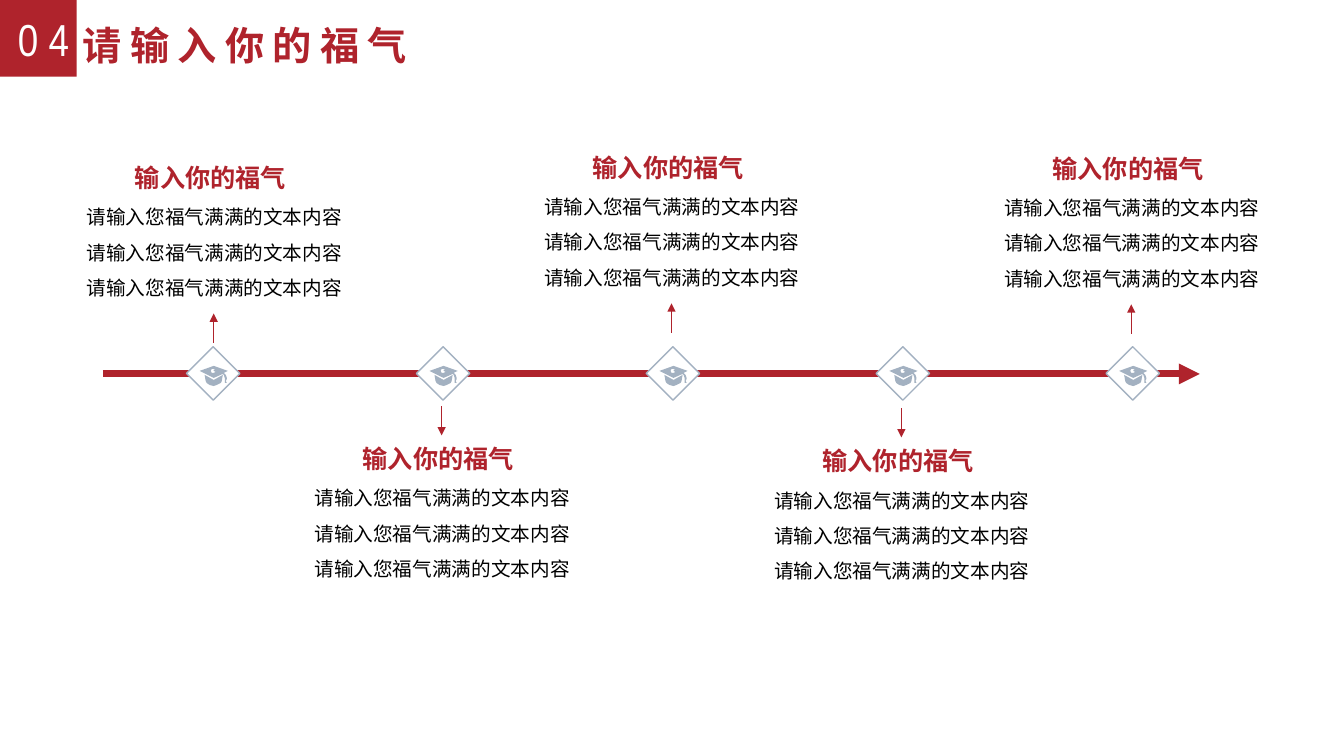
from lxml import etree
from pptx import Presentation
from pptx.dml.color import RGBColor
from pptx.enum.shapes import MSO_CONNECTOR, MSO_SHAPE
from pptx.enum.text import MSO_ANCHOR, MSO_AUTO_SIZE, PP_ALIGN
from pptx.oxml.ns import qn
from pptx.util import Emu, Pt

PX = 9144  # 100 px to the inch
STRAIGHT = MSO_CONNECTOR.STRAIGHT
DIAMOND, RECTANGLE = MSO_SHAPE.DIAMOND, MSO_SHAPE.RECTANGLE
BOTTOM, TOP = MSO_ANCHOR.BOTTOM, MSO_ANCHOR.TOP
GROW, FIXED = MSO_AUTO_SIZE.SHAPE_TO_FIT_TEXT, MSO_AUTO_SIZE.NONE
JUSTIFY = PP_ALIGN.JUSTIFY

COLORS = {"red": "AF232C", "steel": "A3B1C1", "white": "FFFFFF", "black": "000000"}
CJK = "Noto Sans CJK SC"
HEADING = "输入你的福气"
BODY_LINE = "请输入您福气满满的文本内容"

AXIS_Y = 371
DIAMOND_SIZE = 53
FIRST_DIAMOND_LEFT, DIAMOND_STEP = 185, 228

# Centre of each stage, top of its heading, and whether it sits above the axis
STAGES = [
    (212, 156, True),
    (438, 435, False),
    (666, 146, True),
    (894, 437, False),
    (1122, 147, True),
]

# Graduation cap outlines, in px from the centre of its diamond
CAP_OUTLINES = [
    [(-9, 2), (0, 7), (9, 2), (8, 8), (7, 10), (3, 12), (0, 13),
     (-4, 12), (-7, 10), (-8, 8)],
    [(0, -4), (-2, -4), (-3, -2), (-2, 0), (0, 0), (2, -1),
     (0, -2), (0, -3), (2, -3)],
    [(0, -7), (14, -2), (10, 0), (12, 2), (13, 5), (13, 6), (12, 8),
     (13, 10), (11, 10), (11, 5), (10, 2), (9, 1), (0, 5), (-14, -2)],
]


def px(*lengths):
    return [Emu(length * PX) for length in lengths]


def rgb(name):
    return RGBColor.from_string(COLORS[name])


def paint(shape, fill, outline=None):
    shape.shadow.inherit = False
    shape.fill.solid()
    shape.fill.fore_color.rgb = rgb(fill)
    if outline:
        shape.line.color.rgb = rgb(outline)
        shape.line.width = Pt(1)
    else:
        shape.line.fill.background()


def add_text(slide, box, lines, size, color, font, bold=False, align=None,
             line_spacing=None, tracking=0, anchor=TOP, autosize=GROW):
    """Add one paragraph per line; tracking is letter spacing in points."""
    frame = slide.shapes.add_textbox(*px(*box)).text_frame
    frame.word_wrap = True
    frame.auto_size = autosize
    frame.vertical_anchor = anchor
    for index, line in enumerate(lines):
        paragraph = frame.add_paragraph() if index else frame.paragraphs[0]
        paragraph.alignment = align
        paragraph.line_spacing = line_spacing
        run = paragraph.add_run()
        run.text = line
        run.font.size = Pt(size)
        run.font.bold = bold
        run.font.color.rgb = rgb(color)
        run.font.name = font
        properties = run.font._element
        if font == CJK:
            etree.SubElement(properties, qn("a:ea"), typeface=font)
        if tracking:
            properties.set("spc", str(tracking * 100))


def add_arrow(slide, start, end, weight):
    arrow = slide.shapes.add_connector(STRAIGHT, *px(*start, *end))
    arrow.line.color.rgb = rgb("red")
    arrow.line.width = Pt(weight)
    etree.SubElement(arrow.line._get_or_add_ln(), qn("a:tailEnd"), type="triangle")
    etree.SubElement(arrow._element.spPr, qn("a:effectLst"))


def add_header(slide):
    number_block = slide.shapes.add_shape(RECTANGLE, *px(-2, -2, 78, 78))
    paint(number_block, "red")
    add_text(slide, (72, -3, 588, 76), ["请输入你的福气"], 28, "red", "Arial",
             bold=True, line_spacing=0.9, tracking=6, anchor=BOTTOM, autosize=FIXED)
    add_text(slide, (8, 7, 101, 64), ["0 4"], 32, "white", "Arial Narrow")


def add_cap(slide, center_x, center_y):
    (start_x, start_y), *_ = CAP_OUTLINES[0]
    builder = slide.shapes.build_freeform(center_x + start_x, center_y + start_y, scale=PX)
    for index, outline in enumerate(CAP_OUTLINES):
        points = [(center_x + x, center_y + y) for x, y in outline]
        if index:
            builder.move_to(*points[0])
        builder.add_line_segments(points[1:], close=True)
    paint(builder.convert_to_shape(), "steel")


def add_milestone(slide, left):
    diamond = slide.shapes.add_shape(
        DIAMOND, *px(left, AXIS_Y - 27, DIAMOND_SIZE, DIAMOND_SIZE))
    paint(diamond, "white", "steel")
    add_cap(slide, left + 27, AXIS_Y - 1)


def add_stage(slide, center, top, above):
    add_text(slide, (center - 136, top + 31, 275, 113), [BODY_LINE] * 3, 14,
             "black", CJK, align=JUSTIFY, line_spacing=1.5)
    add_text(slide, (center - 88, top, 180, 40), [HEADING], 18, "red", CJK, bold=True)
    start, end = (184, 155) if above else (-32, -3)
    add_arrow(slide, (center, top + start), (center, top + end), 0.5)


def main():
    presentation = Presentation()
    presentation.slide_width, presentation.slide_height = px(1333, 750)
    slide = presentation.slides.add_slide(presentation.slide_layouts[6])
    add_header(slide)
    add_arrow(slide, (102, AXIS_Y), (1190, AXIS_Y), 5)
    for index, stage in enumerate(STAGES):
        add_milestone(slide, FIRST_DIAMOND_LEFT + index * DIAMOND_STEP)
        add_stage(slide, *stage)
    presentation.save("out.pptx")


if __name__ == "__main__":
    main()
